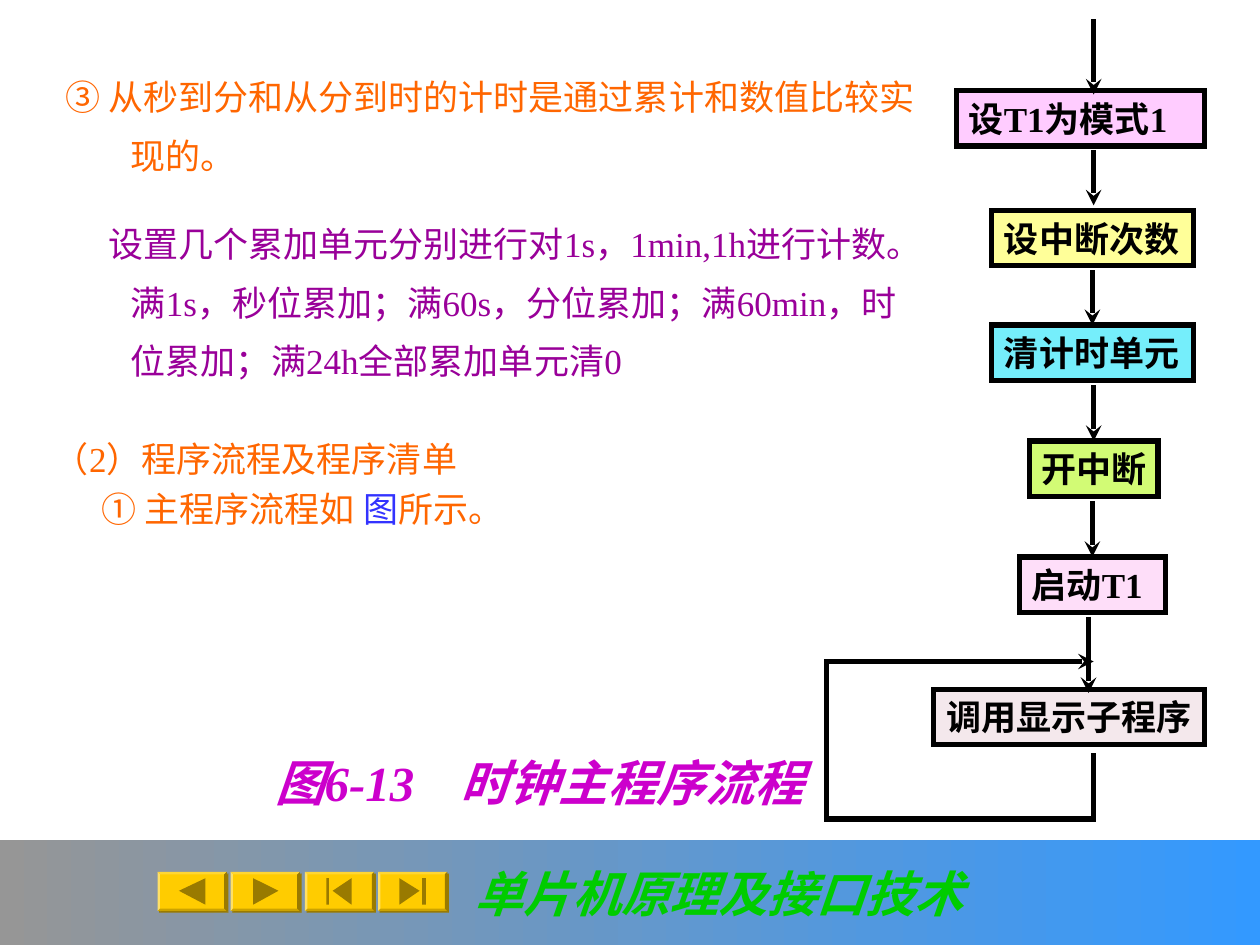
from pptx import Presentation
from pptx.dml.color import RGBColor
from pptx.enum.shapes import MSO_CONNECTOR, MSO_SHAPE
from pptx.enum.text import MSO_ANCHOR, PP_ALIGN
from pptx.oxml import parse_xml
from pptx.oxml.ns import nsdecls
from pptx.util import Pt

PX = 9144  # 100 px to the inch
RECTANGLE, BEVEL = MSO_SHAPE.RECTANGLE, MSO_SHAPE.BEVEL
STRAIGHT = MSO_CONNECTOR.STRAIGHT
MIDDLE = MSO_ANCHOR.MIDDLE
LEFT, CENTER = PP_ALIGN.LEFT, PP_ALIGN.CENTER
FONT = "Times New Roman"
COLORS = {
    "orange": "FF6600", "purple": "990099", "blue": "3333FF",
    "magenta": "CC00CC", "green": "00CC00", "black": "000000",
    "bar_start": "969696", "bar_end": "3399FF",
    "button": "FFCC00", "button_dark": "997A00",
    "pink": "FFCCFF", "yellow": "FFFF99", "cyan": "75EEFB",
    "lime": "D2FB75", "rose": "FEDEF9", "pale": "F4E8EC",
}
RGB = {name: RGBColor.from_string(value) for name, value in COLORS.items()}


def add_span(para, text, color, size=20, bold=False, italic=False):
    span = para.add_run()
    span.text = text
    span.font.name = FONT
    span.font.size = Pt(size)
    span.font.bold = bold
    span.font.italic = italic
    span.font.color.rgb = RGB[color]


def add_flow_line(x1, y1, x2, y2, arrow=False):
    line = page.shapes.add_connector(STRAIGHT, x1 * PX, y1 * PX, x2 * PX, y2 * PX)
    line.line.color.rgb = RGB["black"]
    line.line.width = Pt(3)
    outline = line.line._get_or_add_ln()
    outline.set("cap", "sq")
    if arrow:
        outline.append(parse_xml(f'<a:tailEnd {nsdecls("a")} type="stealth"/>'))
    line._element.spPr.append(parse_xml(f'<a:effectLst {nsdecls("a")}/>'))
    return line


deck = Presentation()
deck.slide_width, deck.slide_height = 1000 * PX, 750 * PX
page = deck.slides.add_slide(deck.slide_layouts[6])

# Footer bar with the course title
bar = page.shapes.add_shape(RECTANGLE, 0, 667 * PX, 1000 * PX, 83 * PX)
bar.shadow.inherit = False
bar.line.fill.background()
bar.fill.gradient()
bar.fill.gradient_angle = 0
for stop, color, position in zip(bar.fill.gradient_stops, ("bar_start", "bar_end"), (0, 1)):
    stop.color.rgb = RGB[color]
    stop.position = position
bar.text_frame.margin_left = 151 * PX
bar.text_frame.vertical_anchor = MIDDLE
para = bar.text_frame.paragraphs[0]
para.alignment = CENTER
add_span(para, "单片机原理及接口技术", "green", 28, True, True)

# Navigation buttons; icon outlines are relative to each button
BUTTON_ICONS = [
    [[(17, 15), (38, 5), (38, 26)]],
    [[(18, 5), (38, 15), (18, 26)]],
    [[(22, 15), (37, 5), (37, 26)], [(17, 5), (19, 5), (19, 26), (17, 26)]],
    [[(33, 15), (17, 26), (17, 5)], [(35, 5), (38, 5), (38, 26), (35, 26)]],
]
for index, outlines in enumerate(BUTTON_ICONS):
    left, top = 125 + round(index * 175 / 3), 692
    button = page.shapes.add_shape(BEVEL, left * PX, top * PX, 55 * PX, 31 * PX)
    button.adjustments[0] = 0.06
    button.fill.solid()
    button.fill.fore_color.rgb = RGB["button"]
    button.line.fill.background()
    button._element.spPr.append(parse_xml(
        f'<a:effectLst {nsdecls("a")}><a:outerShdw dist="17780" dir="2700000">'
        f'<a:srgbClr val="{COLORS["button_dark"]}"/></a:outerShdw></a:effectLst>'))

    builder = None
    for outline in outlines:
        points = [(left + x, top + y) for x, y in outline]
        if builder is None:
            builder = page.shapes.build_freeform(*points[0], scale=PX)
        else:
            builder.move_to(*points[0])
        builder.add_line_segments(points[1:], close=True)
    icon = builder.convert_to_shape()
    icon.shadow.inherit = False
    icon.fill.solid()
    icon.fill.fore_color.rgb = RGB["button_dark"]
    icon.line.fill.background()

# Body text: box, right inset, line spacing, then (left margin, indent, space before, spans)
TEXTS = [
    ((42, 42, 700, 308), 14, 1.4, [
        (52, -52, 0, [("③ 从秒到分和从分到时的计时是通过累计和数值比较实现的。", "orange")]),
        (52, -18, 16.5, [("设置几个累加单元分别进行对1s，1min,1h进行计数。满1s，秒位累加；"
                          "满60s，分位累加；满60min，时位累加；满24h全部累加单元清0", "purple")]),
    ]),
    ((33, 342, 475, 108), 10, 1.0, [
        (38, -38, 0, [("（2）程序流程及程序清单", "orange")]),
        (38, 0, 5, [("① 主程序流程如 ", "orange"), ("图", "blue"), ("所示。", "orange")]),
    ]),
]
for bounds, right_inset, spacing, paragraphs in TEXTS:
    box = page.shapes.add_textbox(*(length * PX for length in bounds))
    box.text_frame.word_wrap = True
    box.text_frame.margin_right = right_inset * PX
    for index, (margin, indent, before, spans) in enumerate(paragraphs):
        para = box.text_frame.add_paragraph() if index else box.text_frame.paragraphs[0]
        properties = para._p.get_or_add_pPr()
        properties.set("marL", str(margin * PX))
        properties.set("indent", str(indent * PX))
        para.line_spacing = spacing
        para.space_before = Pt(before)
        for text, color in spans:
            add_span(para, text, color)

# Flowchart steps
STEPS = [
    ("设T1为模式1", 759, 72, 197, "pink"),
    ("设中断次数", 787, 167, 160, "yellow"),
    ("清计时单元", 787, 258, 160, "cyan"),
    ("开中断", 817, 350, 102, "lime"),
    ("启动T1", 809, 442, 116, "rose"),
    ("调用显示子程序", 741, 547, 215, "pale"),
]
steps = []
for text, left, top, width, color in STEPS:
    step = page.shapes.add_shape(RECTANGLE, left * PX, top * PX, width * PX, 44 * PX)
    step.shadow.inherit = False
    step.fill.solid()
    step.fill.fore_color.rgb = RGB[color]
    step.line.color.rgb = RGB["black"]
    step.line.width = Pt(3)
    step.line._get_or_add_ln().append(
        parse_xml(f'<a:miter {nsdecls("a")} lim="800000"/>'))
    step.text_frame.word_wrap = False
    step.text_frame.vertical_anchor = MIDDLE
    para = step.text_frame.paragraphs[0]
    para.alignment = LEFT
    add_span(para, text, "black", bold=True)
    steps.append(step)

# Arrows between steps, then the loop back to the display call
add_flow_line(868, 17, 868, 75, arrow=True)
add_flow_line(868, 121, 868, 163, arrow=True)
for (_, left, top, width, _), step in zip(STEPS[2:5], steps[2:5]):
    center = left + width // 2
    add_flow_line(center, top - 42, center, top, arrow=True).end_connect(step, 0)
add_flow_line(864, 492, 864, 550, arrow=True)
add_flow_line(868, 600, 868, 650)
add_flow_line(868, 650, 656, 650)
add_flow_line(656, 525, 656, 650)
add_flow_line(656, 525, 868, 525, arrow=True)

# Figure caption, its number and title parted by a tab stop
caption = page.shapes.add_textbox(209 * PX, 592 * PX, 440 * PX, 57 * PX)
caption.text_frame.word_wrap = False
caption.text_frame.margin_right = 0
para = caption.text_frame.paragraphs[0]
para._p.get_or_add_pPr().append(parse_xml(
    f'<a:tabLst {nsdecls("a")}><a:tab pos="{147 * PX}" algn="l"/></a:tabLst>'))
add_span(para, "图6-13\t时钟主程序流程", "magenta", 28, True, True)

deck.save("out.pptx")
